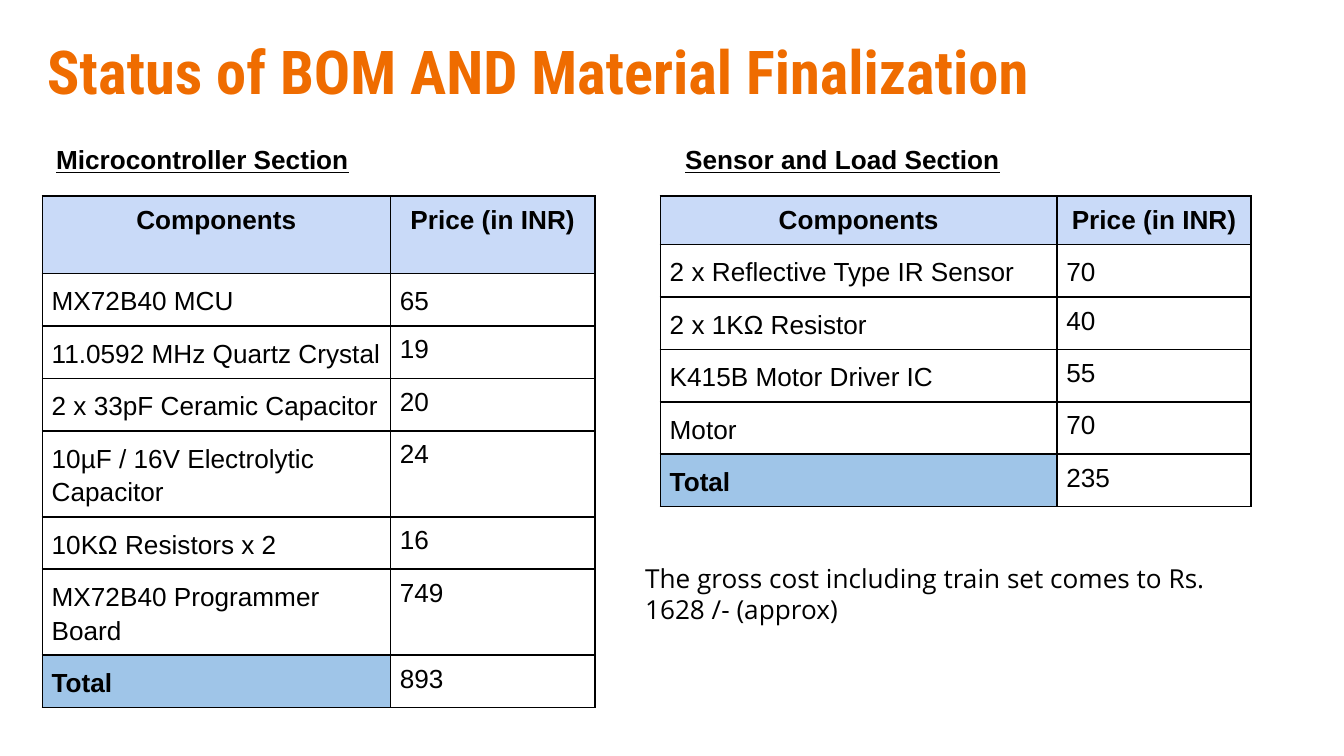
from lxml.etree import SubElement
from pptx import Presentation
from pptx.dml.color import RGBColor
from pptx.enum.text import MSO_ANCHOR, PP_ALIGN
from pptx.oxml.ns import qn
from pptx.util import Pt

BLACK, ORANGE = "000000", "EF6C00"
HEADER_FILL, TOTAL_FILL = "C9DAF8", "9FC5E8"
TABLE_TOP, CELL_MARGIN, CELL_BOTTOM = 105, 5, 2
ROW_H, TALL_ROW_H = 28.1, 46.1

HEADER = ("Components", "Price (in INR)")
TITLE = "Status of BOM AND Material Finalization"
NOTE = "The gross cost including train set comes to Rs. 1628 /- (approx)"

# Each item: component, price, row height
SECTIONS = [
    {
        "heading": "Microcontroller Section", "heading_left": 23,
        "left": 22.7, "col_widths": (186.5, 109.5), "header_h": 41.5,
        "items": [
            ("MX72B40 MCU", "65", ROW_H),
            ("11.0592 MHz Quartz Crystal", "19", ROW_H),
            ("2 x 33pF Ceramic Capacitor", "20", ROW_H),
            ("10µF / 16V Electrolytic Capacitor", "24", TALL_ROW_H),
            ("10KΩ Resistors x 2", "16", ROW_H),
            ("MX72B40 Programmer Board", "749", TALL_ROW_H),
            ("Total", "893", ROW_H),
        ],
    },
    {
        "heading": "Sensor and Load Section", "heading_left": 360,
        "left": 353.8, "col_widths": (212.5, 104), "header_h": 26,
        "items": [
            ("2 x Reflective Type IR Sensor", "70", ROW_H),
            ("2 x 1KΩ Resistor", "40", ROW_H),
            ("K415B Motor Driver IC", "55", ROW_H),
            ("Motor", "70", ROW_H),
            ("Total", "235", ROW_H),
        ],
    },
]


def rgb(color):
    return RGBColor.from_string(color)


def write(tf, text, size=14, font="Arial", color=BLACK, bold=False,
          underline=False, align=PP_ALIGN.LEFT, spacing=None):
    p = tf.paragraphs[0]
    p.alignment = align
    if spacing:
        p.line_spacing = spacing
    r = p.add_run()
    r.text = text
    r.font.size, r.font.name = Pt(size), font
    r.font.bold, r.font.underline = bold, underline
    r.font.color.rgb = rgb(color)


def add_text(s, text, left, top, width, height, anchor=MSO_ANCHOR.TOP, **fmt):
    tf = s.shapes.add_textbox(Pt(left), Pt(top), Pt(width), Pt(height)).text_frame
    tf.word_wrap = True
    tf.vertical_anchor = anchor
    tf.margin_left = tf.margin_right = tf.margin_top = tf.margin_bottom = Pt(7.2)
    write(tf, text, **fmt)


def style_cell(cell, fill):
    """Set the margins, the black border and the fill of a cell."""
    cell.margin_left = cell.margin_right = cell.margin_top = Pt(CELL_MARGIN)
    cell.margin_bottom = Pt(CELL_BOTTOM)
    tc_pr = cell._tc.get_or_add_tcPr()
    for side in ("a:lnL", "a:lnR", "a:lnT", "a:lnB"):
        ln = SubElement(tc_pr, qn(side), w=str(Pt(1)))
        SubElement(SubElement(ln, qn("a:solidFill")), qn("a:srgbClr"), val=BLACK)
    if fill:
        cell.fill.solid()
        cell.fill.fore_color.rgb = rgb(fill)
    else:
        cell.fill.background()


def add_price_table(s, section):
    items, widths = section["items"], section["col_widths"]
    heights = [section["header_h"]] + [height for _, _, height in items]
    table = s.shapes.add_table(
        len(heights), len(widths), Pt(section["left"]), Pt(TABLE_TOP),
        Pt(sum(widths)), Pt(sum(heights))).table
    for column, width in zip(table.columns, widths):
        column.width = Pt(width)
    for row, height in zip(table.rows, heights):
        row.height = Pt(height)

    for col, label in enumerate(HEADER):
        cell = table.cell(0, col)
        style_cell(cell, HEADER_FILL)
        write(cell.text_frame, label, bold=True, align=PP_ALIGN.CENTER)
    for row, (component, price, _) in enumerate(items, start=1):
        is_total = component == "Total"
        name_cell, price_cell = table.cell(row, 0), table.cell(row, 1)
        style_cell(name_cell, TOTAL_FILL if is_total else None)
        style_cell(price_cell, None)
        write(name_cell.text_frame, component, bold=is_total, spacing=1.15)
        write(price_cell.text_frame, price, spacing=1.15 if row == 1 else None)


def main():
    prs = Presentation()
    prs.slide_width, prs.slide_height = Pt(720), Pt(405)
    s = prs.slides.add_slide(prs.slide_layouts[6])
    add_text(s, TITLE, 18, 10, 671, 55.5, anchor=MSO_ANCHOR.MIDDLE,
             size=32.4, font="Roboto Condensed", color=ORANGE, bold=True)
    for section in SECTIONS:
        add_price_table(s, section)
        add_text(s, section["heading"], section["heading_left"], 67, 236, 32,
                 bold=True, underline=True, spacing=1.15)
    add_text(s, NOTE, 338.5, 294, 345, 48, font="Open Sans")
    prs.save("out.pptx")


if __name__ == "__main__":
    main()
